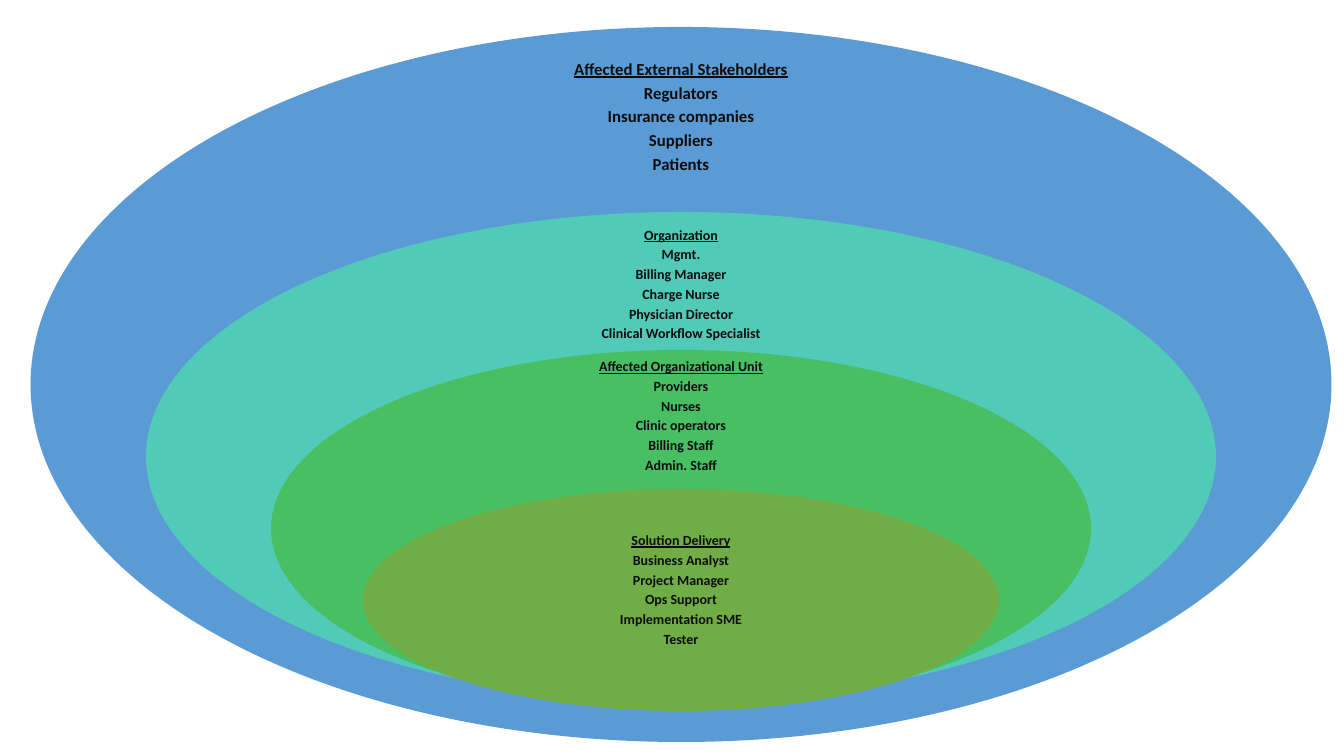
"""Build a slide of nested stakeholder rings, from external parties to delivery team."""
import pptx
import pptx.dml.color
import pptx.enum.shapes
import pptx.enum.text
import pptx.util

PX = 914400 / 100.8
CENTER_X = 681
INK = pptx.dml.color.RGBColor(0x0D, 0x0D, 0x0D)
BLUE = pptx.dml.color.RGBColor(0x5B, 0x9B, 0xD5)
TEAL = pptx.dml.color.RGBColor(0x52, 0xCA, 0xB8)
GREEN = pptx.dml.color.RGBColor(0x49, 0xBF, 0x64)
OLIVE = pptx.dml.color.RGBColor(0x70, 0xAD, 0x47)


def centered(top, width, height):
    return [round(v * PX) for v in (CENTER_X - width / 2, top, width, height)]


RINGS = [
    (BLUE, (27, 1301, 715), (64, 364, 107), 12, 4, 9,
     ["Affected External Stakeholders", "Regulators", "Insurance companies",
      "Suppliers", "Patients"]),
    (TEAL, (212, 1070, 489), (241, 374, 88), 10, 3.3, 8,
     ["Organization", "Mgmt.", "Billing Manager", "Charge Nurse",
      "Physician Director", "Clinical Workflow Specialist"]),
    (GREEN, (350, 820, 357), (376, 382, 81), 10, 3.3, 8,
     ["Affected Organizational Unit", "Providers", "Nurses", "Clinic operators",
      "Billing Staff", "Admin. Staff"]),
    (OLIVE, (489, 636, 222), (535, 450, 111), 10, 3.3, 8,
     ["Solution Delivery", "Business Analyst", "Project Manager", "Ops Support",
      "Implementation SME", "Tester"]),
]

deck = pptx.Presentation()
deck.slide_width = round(1344 * PX)
deck.slide_height = round(756 * PX)
page = deck.slides.add_slide(deck.slide_layouts[6])

for color, ring_place, text_place, size, gap, inset, lines in RINGS:
    ring = page.shapes.add_shape(
        pptx.enum.shapes.MSO_SHAPE.OVAL, *centered(*ring_place))
    ring.shadow.inherit = False
    ring.fill.solid()
    ring.fill.fore_color.rgb = color
    ring.line.fill.background()

    box = page.shapes.add_textbox(*centered(*text_place))
    frame = box.text_frame
    frame.word_wrap = True
    frame.vertical_anchor = pptx.enum.text.MSO_ANCHOR.MIDDLE
    frame.margin_left = frame.margin_right = round(inset * PX)
    frame.margin_top = frame.margin_bottom = round(inset * PX)
    for index, line in enumerate(lines):
        para = frame.add_paragraph() if index else frame.paragraphs[0]
        para.alignment = pptx.enum.text.PP_ALIGN.CENTER
        para.line_spacing = 0.9
        para.space_after = pptx.util.Pt(gap)
        span = para.add_run()
        span.text = line
        span.font.name = "Calibri"
        span.font.size = pptx.util.Pt(size)
        span.font.bold = True
        span.font.underline = index == 0
        span.font.color.rgb = INK

deck.save("out.pptx")
